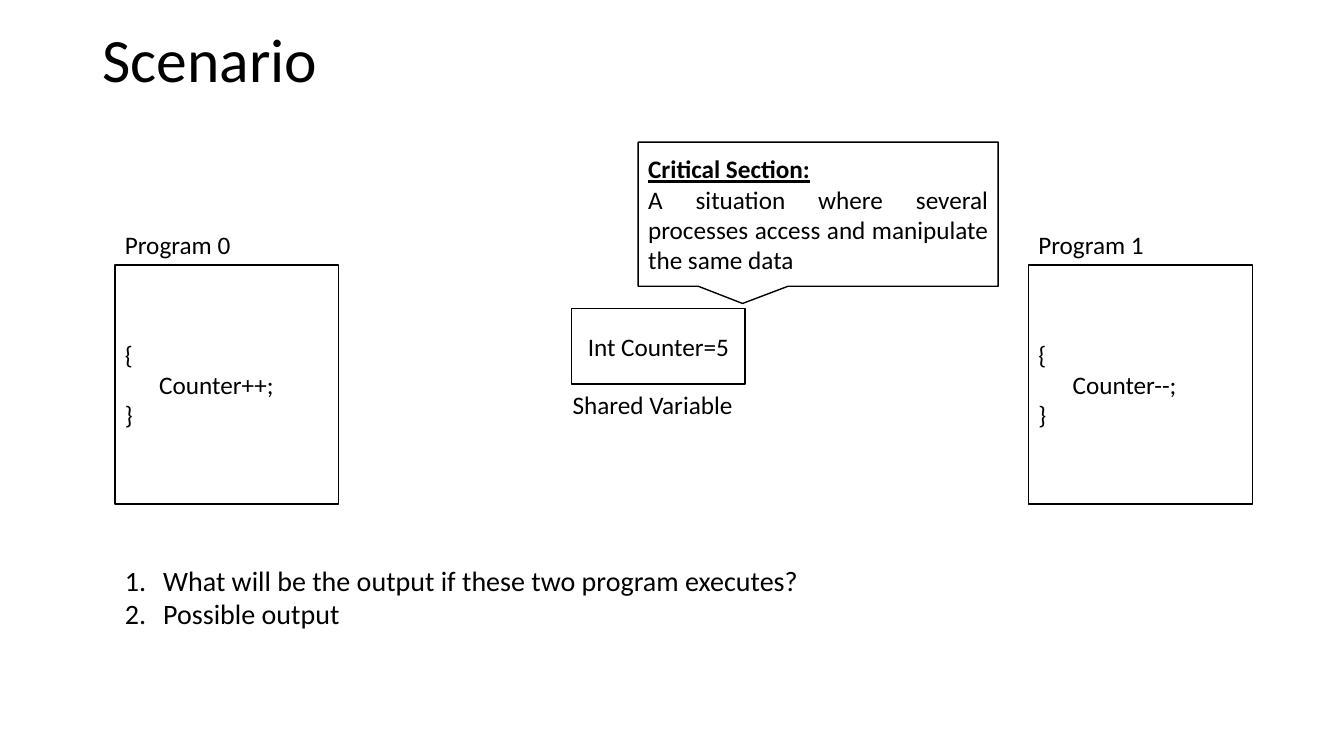
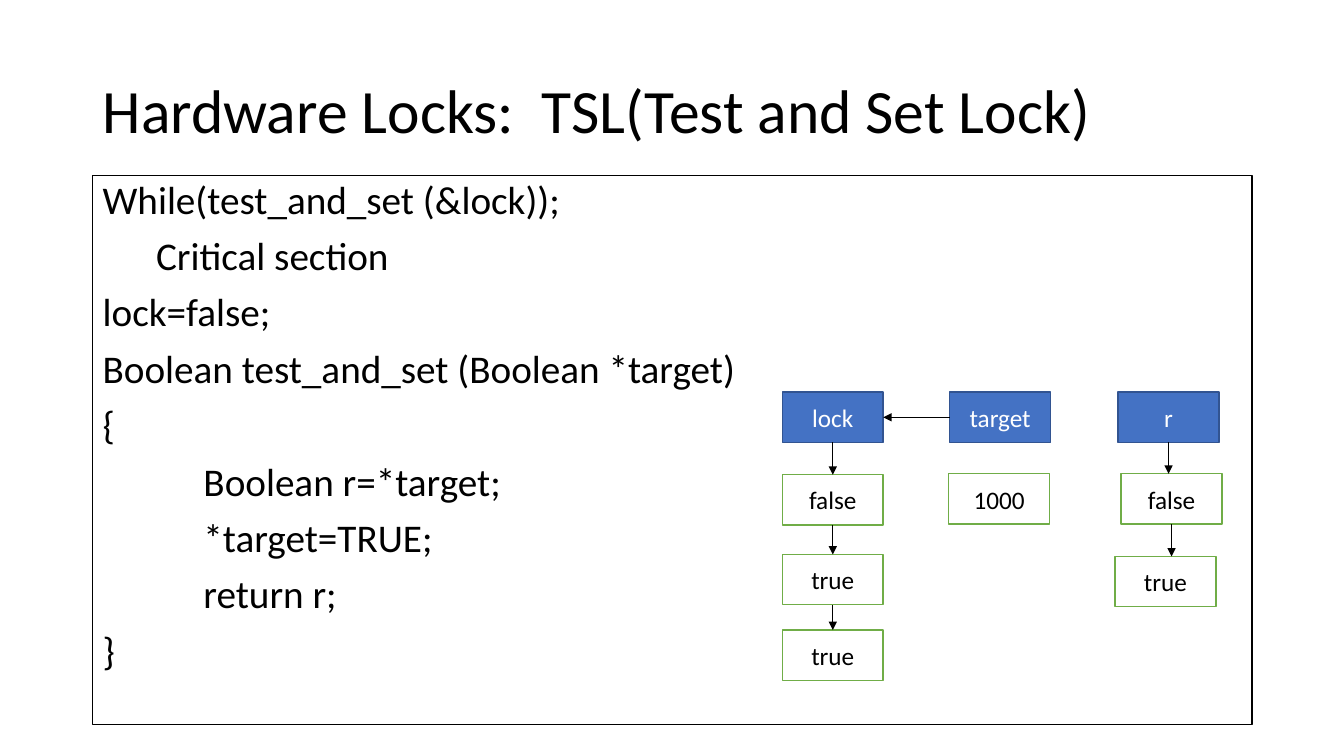
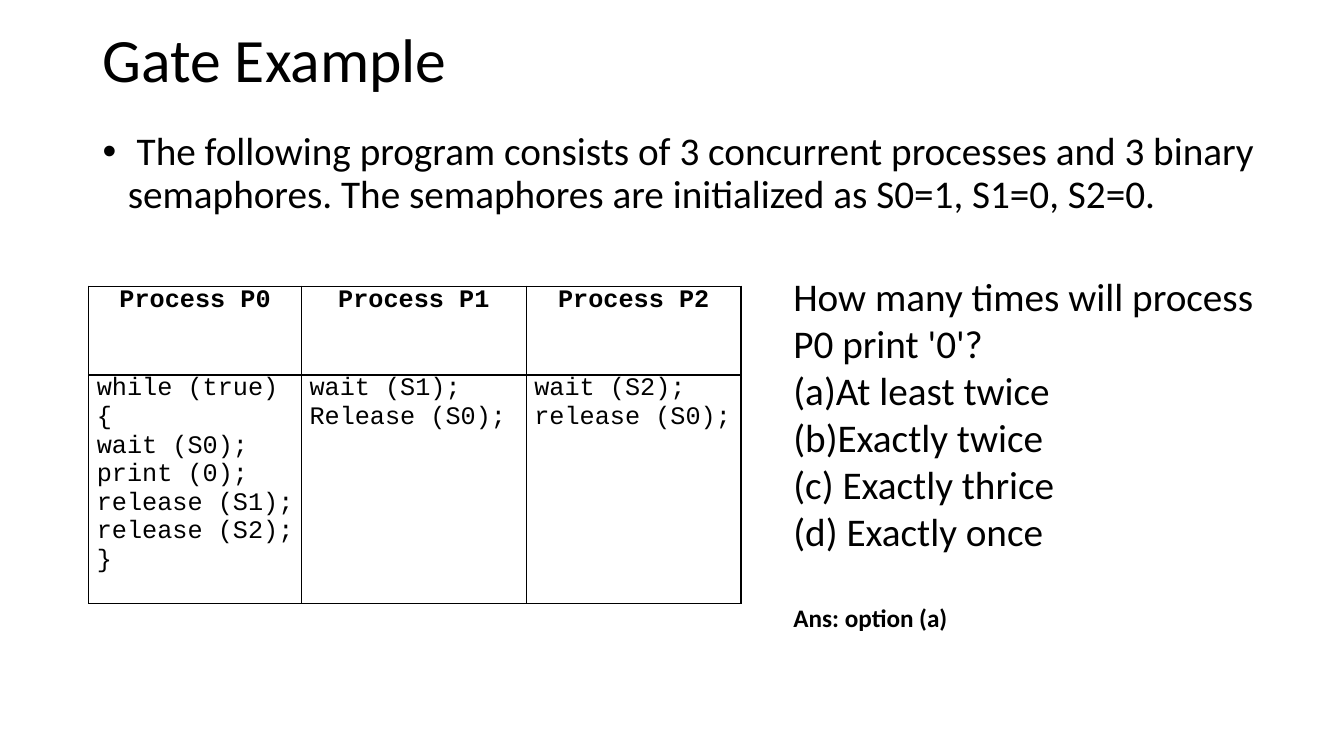
from lxml import etree
from pptx import Presentation
from pptx.dml.color import RGBColor
from pptx.enum import shapes, text
from pptx.oxml import ns
from pptx.util import Inches, Pt

BLACK = RGBColor(0x00, 0x00, 0x00)
WHITE = RGBColor(0xFF, 0xFF, 0xFF)
BLUE = RGBColor(0x44, 0x72, 0xC4)
NAVY = RGBColor(0x32, 0x54, 0x91)
GREEN = RGBColor(0x70, 0xAD, 0x47)

SHAPE = shapes.MSO_SHAPE
ALIGN = text.PP_ALIGN
TOP, LEFT, BOTTOM, RIGHT = range(4)

BODY_FONT = {"name": "Calibri", "size": Pt(18), "bold": False, "underline": False}
TITLE_FONT = {"size": Pt(44)}
LARGE = {"size": Pt(28)}
CENTERED = {"alignment": ALIGN.CENTER}
JUSTIFIED = {"alignment": ALIGN.JUSTIFY}
TIGHT = {"line_spacing": 0.9}
BODY = {"line_spacing": 0.9, "space_before": Pt(10)}

NUMBERED = {"left": 0.38, "hanging": 0.38, "number": "arabicPeriod"}
LETTERED = {"left": 0.38, "hanging": 0.38, "number": "alphaLcParenBoth"}
DOTTED = {"left": 0.25, "hanging": 0.25, "dot": "•"}

PROGRAMS = [(1.14, "Program 0", "Counter++;"), (10.2, "Program 1", "Counter--;")]
CRITICAL_SECTION = [
    ("Critical Section:", {"bold": True, "underline": True}),
    "A situation where several processes access and manipulate the same data",
]
QUESTIONS = [
    ("What will be the output if these two program executes?", NUMBERED),
    ("Possible output", NUMBERED),
]

LOCK_CODE = [
    "While(test_and_set (&lock));",
    ("Critical section", {"left": 0.53}),
    "lock=false;",
    "Boolean test_and_set (Boolean *target)",
    "{",
    ("Boolean r=*target;", {"left": 1}),
    ("*target=TRUE;", {"left": 1}),
    ("return r;", {"left": 1}),
    "}",
]
VARIABLES = {"lock": 7.76, "target": 9.42, "r": 11.09}
VARIABLE_TOP = 3.89
VALUES = {
    "lock": [("false", 7.76, 4.71), ("true", 7.76, 5.5), ("true", 7.76, 6.25)],
    "target": [("1000", 9.41, 4.7)],
    "r": [("false", 11.12, 4.7), ("true", 11.06, 5.52)],
}
UNLINKED = {"target"}

SEMAPHORES = (" The following program consists of 3 concurrent processes and 3 binary "
              "semaphores. The semaphores are initialized as S0=1, S1=0, S2=0.")
PROCESSES = [
    ("Process P0", 2.11, ["while (true)", "{", "wait (S0);", "print (0);",
                          "release (S1);", "release (S2);", "}"]),
    ("Process P1", 2.23, ["wait (S1);", "Release (S0);"]),
    ("Process P2", 2.13, ["wait (S2);", "release (S0);"]),
]
ROW_HEIGHTS = [0.88, 2.27]
QUIZ = [
    "How many times will process P0 print '0'?",
    ("At least twice", LETTERED),
    ("Exactly twice", LETTERED),
    "(c) Exactly thrice",
    "(d) Exactly once",
    ("Ans: option (a)", {"size": Pt(18), "bold": True, "space_before": Pt(34)}),
]


def add_xml(parent, tag, **attributes):
    return etree.SubElement(parent, ns.qn(tag), attributes)


def set_indent(para, left=0, hanging=0, number=None, dot=None):
    properties = para._p.get_or_add_pPr()
    properties.set("marL", str(Inches(left)))
    properties.set("indent", str(-Inches(hanging)))
    if number:
        add_xml(properties, "a:buAutoNum", type=number)
    if dot:
        add_xml(properties, "a:buFont", typeface="Arial")
        add_xml(properties, "a:buChar", char=dot)


def write(frame, lines, color=BLACK, **shared):
    for index, line in enumerate(lines):
        content, own = (line, {}) if isinstance(line, str) else line
        para = frame.paragraphs[0] if index == 0 else frame.add_paragraph()
        span = para.add_run()
        span.text = content
        span.font.color.rgb = color
        indent = {}
        para.alignment = ALIGN.LEFT
        for key, value in {**BODY_FONT, **shared, **own}.items():
            if key in BODY_FONT:
                setattr(span.font, key, value)
            elif key in ("left", "hanging", "number", "dot"):
                indent[key] = value
            else:
                setattr(para, key, value)
        if indent:
            set_indent(para, **indent)


def add_text(page, at, lines, wrap=True, anchor=text.MSO_ANCHOR.TOP, **shared):
    box = page.shapes.add_textbox(*map(Inches, at))
    box.text_frame.word_wrap = wrap
    box.text_frame.vertical_anchor = anchor
    write(box.text_frame, lines, **shared)


def add_box(page, at, lines, fill=WHITE, line=BLACK, kind=SHAPE.RECTANGLE,
            anchor=text.MSO_ANCHOR.MIDDLE, **shared):
    box = page.shapes.add_shape(kind, *map(Inches, at))
    box.shadow.inherit = False
    box.fill.solid()
    box.fill.fore_color.rgb = fill
    box.line.color.rgb = line
    box.line.width = Pt(1)
    box.text_frame.word_wrap = True
    box.text_frame.vertical_anchor = anchor
    write(box.text_frame, lines, **shared)
    return box


def side_middle(box, side):
    x = {LEFT: box.left, RIGHT: box.left + box.width}.get(side, box.left + box.width // 2)
    y = {TOP: box.top, BOTTOM: box.top + box.height}.get(side, box.top + box.height // 2)
    return x, y


def add_arrow(page, start, start_side, end, end_side):
    x1, y1 = side_middle(start, start_side)
    x2, y2 = side_middle(end, end_side)
    aligned = x1 == x2 or y1 == y2
    arrow = page.shapes.add_connector(shapes.MSO_CONNECTOR.STRAIGHT, x1, y1,
                                      x2 if aligned else x1, y2)
    arrow.begin_connect(start, start_side)
    if aligned:
        arrow.end_connect(end, end_side)
    arrow.line.color.rgb = BLACK
    arrow.line.width = Pt(0.5)
    add_xml(arrow.line._get_or_add_ln(), "a:tailEnd", type="triangle")
    add_xml(arrow._element.spPr, "a:effectLst")


def add_page(deck, title, top=0.17, height=0.9):
    page = deck.slides.add_slide(deck.slide_layouts[6])
    add_text(page, (0.92, top, 11.5, height), [title],
             anchor=text.MSO_ANCHOR.MIDDLE, **TITLE_FONT, **TIGHT)
    return page


def add_scenario(deck):
    page = add_page(deck, "Scenario")
    add_box(page, (5.67, 3.06, 1.72, 0.75), ["Int Counter=5"], **CENTERED)
    add_text(page, (5.58, 3.81, 1.81, 0.4), ["Shared Variable"], wrap=False)
    for left, name, statement in PROGRAMS:
        add_box(page, (left, 2.63, 2.22, 2.37), ["{", (statement, {"left": 0.34}), "}"])
        add_text(page, (left, 2.23, 1.26, 0.4), [name], wrap=False)
    add_text(page, (1.14, 5.54, 9.86, 0.77), QUESTIONS, size=Pt(20))
    callout = add_box(page, (6.33, 1.41, 3.57, 1.43), CRITICAL_SECTION,
                      kind=SHAPE.RECTANGULAR_CALLOUT, **JUSTIFIED)
    callout.adjustments[0] = -0.21
    callout.adjustments[1] = 0.62


def add_hardware_locks(deck):
    page = add_page(deck, "Hardware Locks:  TSL(Test and Set Lock)", 0.4, 1.45)
    add_box(page, (0.92, 1.74, 11.5, 5.45), LOCK_CODE, anchor=text.MSO_ANCHOR.TOP,
            **LARGE, **BODY, **JUSTIFIED)
    variables = {}
    for name, left in VARIABLES.items():
        variables[name] = above = add_box(page, (left, VARIABLE_TOP, 1, 0.5), [name],
                                          fill=BLUE, line=NAVY, color=WHITE, **CENTERED)
        for value, value_left, top in VALUES[name]:
            box = add_box(page, (value_left, top, 1, 0.5), [value], line=GREEN, **CENTERED)
            if name not in UNLINKED:
                add_arrow(page, above, BOTTOM, box, TOP)
            above = box
    add_arrow(page, variables["target"], LEFT, variables["lock"], RIGHT)


def fill_cell(cell, lines, **shared):
    cell.margin_left = cell.margin_right = Inches(0.08)
    cell.margin_top = cell.margin_bottom = 0
    properties = cell._tc.get_or_add_tcPr()
    for edge in ("a:lnL", "a:lnR", "a:lnT", "a:lnB"):
        border = add_xml(properties, edge, w=str(Pt(1)))
        add_xml(add_xml(border, "a:solidFill"), "a:srgbClr", val=str(BLACK))
    cell.fill.solid()
    cell.fill.fore_color.rgb = WHITE
    write(cell.text_frame, lines, name="Courier New", **shared)


def add_gate_example(deck):
    page = add_page(deck, "Gate Example")
    add_text(page, (0.92, 1.26, 11.73, 1.39), [(SEMAPHORES, DOTTED)], **LARGE, **BODY)
    width = sum(process[1] for process in PROCESSES)
    at = (0.88, 2.84, width, sum(ROW_HEIGHTS))
    table = page.shapes.add_table(2, len(PROCESSES), *map(Inches, at)).table
    table.first_row = table.horz_banding = False
    for row, height in zip(table.rows, ROW_HEIGHTS):
        row.height = Inches(height)
    for index, (name, column_width, code) in enumerate(PROCESSES):
        table.columns[index].width = Inches(column_width)
        fill_cell(table.cell(0, index), [name], bold=True, **CENTERED)
        fill_cell(table.cell(1, index), code)
    add_text(page, (7.77, 2.65, 5.12, 3.7), QUIZ, **LARGE)


def main():
    deck = Presentation()
    deck.slide_width, deck.slide_height = Inches(13.33), Inches(7.5)
    add_scenario(deck)
    add_hardware_locks(deck)
    add_gate_example(deck)
    deck.save("out.pptx")


if __name__ == "__main__":
    main()
